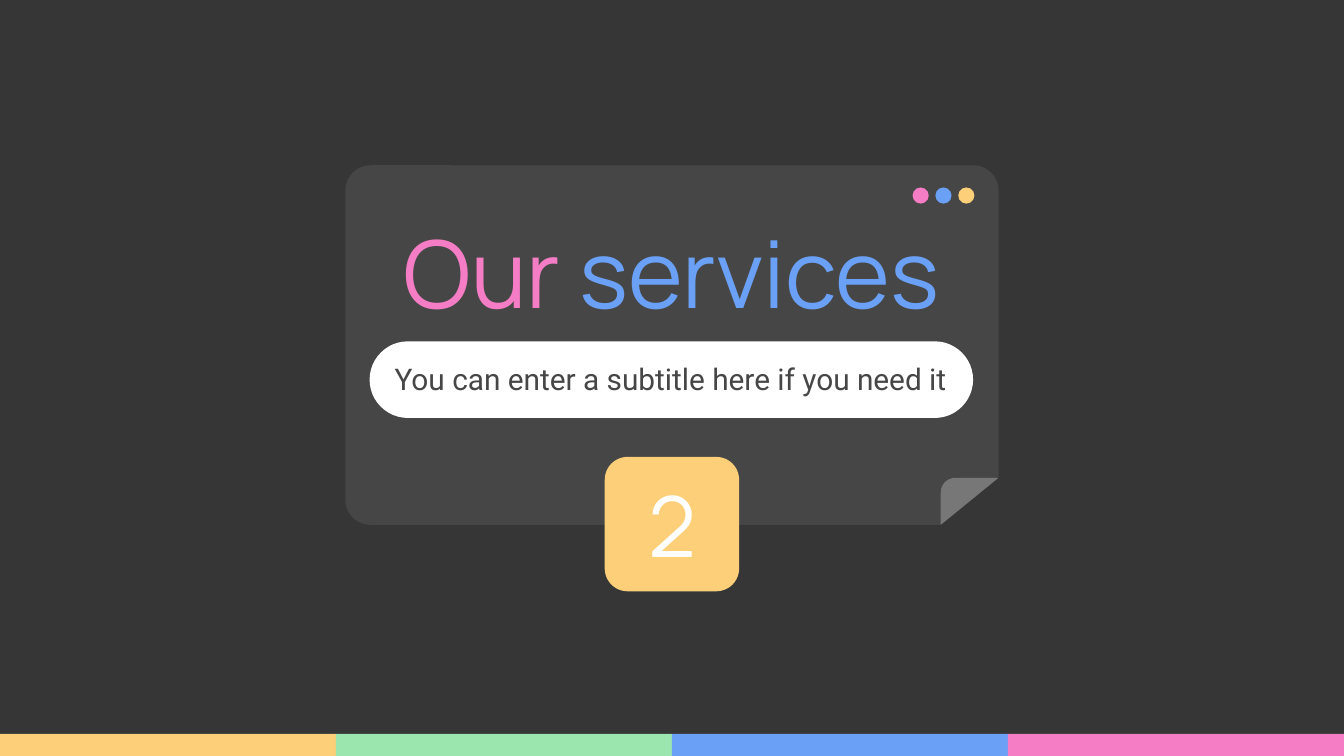
import math
from collections import namedtuple

from pptx import Presentation
from pptx.dml.color import RGBColor
from pptx.enum.shapes import MSO_SHAPE
from pptx.enum.text import MSO_ANCHOR, PP_ALIGN
from pptx.util import Inches, Pt

RECTANGLE = MSO_SHAPE.RECTANGLE
ROUNDED = MSO_SHAPE.ROUNDED_RECTANGLE
OVAL = MSO_SHAPE.OVAL
TRIANGLE = MSO_SHAPE.RIGHT_TRIANGLE
MIDDLE = MSO_ANCHOR.MIDDLE
CENTER = PP_ALIGN.CENTER

COLORS = {
    "background": "363636",
    "card": "464646",
    "fold": "777777",
    "white": "FFFFFF",
    "yellow": "FCCF78",
    "green": "9AE6AE",
    "blue": "6AA1F7",
    "pink": "F57DC6",
}
COLUMNS, ROWS = 100, 56.25
CELL = Inches(0.1)

Box = namedtuple("Box", "left top width height")


def grid(cells):
    """Convert a number of grid cells to a slide length."""
    return round(cells * CELL)


def inside(box, left, top, width, height):
    """Return a box placed by its offset from another box."""
    return Box(box.left + left, box.top + top, width, height)


def color(name):
    """Return the named colour."""
    return RGBColor.from_string(COLORS[name])


def paint(shape, fill):
    """Give a shape a plain fill without line or shadow."""
    shape.shadow.inherit = False
    shape.fill.solid()
    shape.fill.fore_color.rgb = color(fill)
    shape.line.fill.background()


def add_shape(slide, kind, box, fill, corner=None):
    """Add a filled preset shape."""
    shape = slide.shapes.add_shape(kind, *map(grid, box))
    paint(shape, fill)
    if corner is not None:
        shape.adjustments[0] = corner
    return shape


def add_text(slide, box, runs, size=16, font="Manrope"):
    """Add one centred line made of (text, colour) runs."""
    frame = slide.shapes.add_textbox(*map(grid, box)).text_frame
    frame.word_wrap = True
    frame.vertical_anchor = MIDDLE
    frame.margin_left = frame.margin_right = CELL
    frame.margin_top = frame.margin_bottom = CELL
    paragraph = frame.paragraphs[0]
    paragraph.alignment = CENTER
    for text, name in runs:
        run = paragraph.add_run()
        run.text = text
        run.font.size = Pt(size)
        run.font.name = font
        run.font.color.rgb = color(name)


def add_stripes(slide, box):
    """Divide the box into equal coloured stripes."""
    names = ("yellow", "green", "blue", "pink")
    width = box.width / len(names)
    for index, name in enumerate(names):
        stripe = inside(box, index * width, 0, width, box.height)
        add_shape(slide, RECTANGLE, stripe, name)


def add_fold(slide, box):
    """Cut the lower right corner and fold it over."""
    corner = add_shape(slide, TRIANGLE, box, "background")
    corner._element.spPr.xfrm.set("flipH", "1")
    corner.line.color.rgb = color("background")
    corner.line.width = Pt(0.75)
    radius, steps = 1.1, 12
    angles = [math.pi / 2 * step / steps for step in range(steps + 1)]
    points = [
        (
            grid(box.left + radius * (1 - math.cos(angle))),
            grid(box.top + radius * (1 - math.sin(angle))),
        )
        for angle in angles
    ]
    points.append((grid(box.left + box.width), grid(box.top)))
    start = (grid(box.left), grid(box.top + box.height))
    builder = slide.shapes.build_freeform(*start)
    builder.add_line_segments(points, close=True)
    paint(builder.convert_to_shape(), "fold")


def add_card(slide, box):
    """Draw the window card with its dots and folded corner."""
    add_shape(slide, ROUNDED, box, "card", corner=0.07)
    for index, name in enumerate(("pink", "blue", "yellow")):
        dot = inside(box, 42.2 + 1.7 * index, 1.65, 1.2, 1.2)
        add_shape(slide, OVAL, dot, name)
    fold_width, fold_height = 4.3, 3.5
    add_fold(slide, inside(box, box.width - fold_width, box.height - fold_height, fold_width, fold_height))


def add_heading(slide, box):
    """Place the number badge, title and subtitle on the card."""
    badge = inside(box, 19.3, 21.7, 10, 10)
    pill = inside(box, 1.8, 13.1, 44.9, 5.7)
    add_shape(slide, ROUNDED, badge, "yellow", corner=0.17)
    add_shape(slide, ROUNDED, pill, "white", corner=0.5)
    title = inside(box, -3.4, 3.3, 55.4, 9.2)
    add_text(slide, title, [("Our ", "pink"), ("services", "blue")], size=50)
    add_text(slide, badge, [("2", "white")], size=45)
    subtitle = [("You can enter a subtitle here if you need it", "card")]
    add_text(slide, inside(pill, 0.2, 0.8, 44.4, 4), subtitle, font="Roboto")


def main():
    """Build and save the section slide."""
    presentation = Presentation()
    presentation.slide_width = grid(COLUMNS)
    presentation.slide_height = grid(ROWS)
    slide = presentation.slides.add_slide(presentation.slide_layouts[6])
    slide.background.fill.solid()
    slide.background.fill.fore_color.rgb = color("background")
    card = Box(25.7, 12.3, 48.6, 26.75)
    add_stripes(slide, Box(0, ROWS - 1.65, COLUMNS, 1.65))
    add_card(slide, card)
    add_heading(slide, card)
    presentation.save("out.pptx")


if __name__ == "__main__":
    main()
